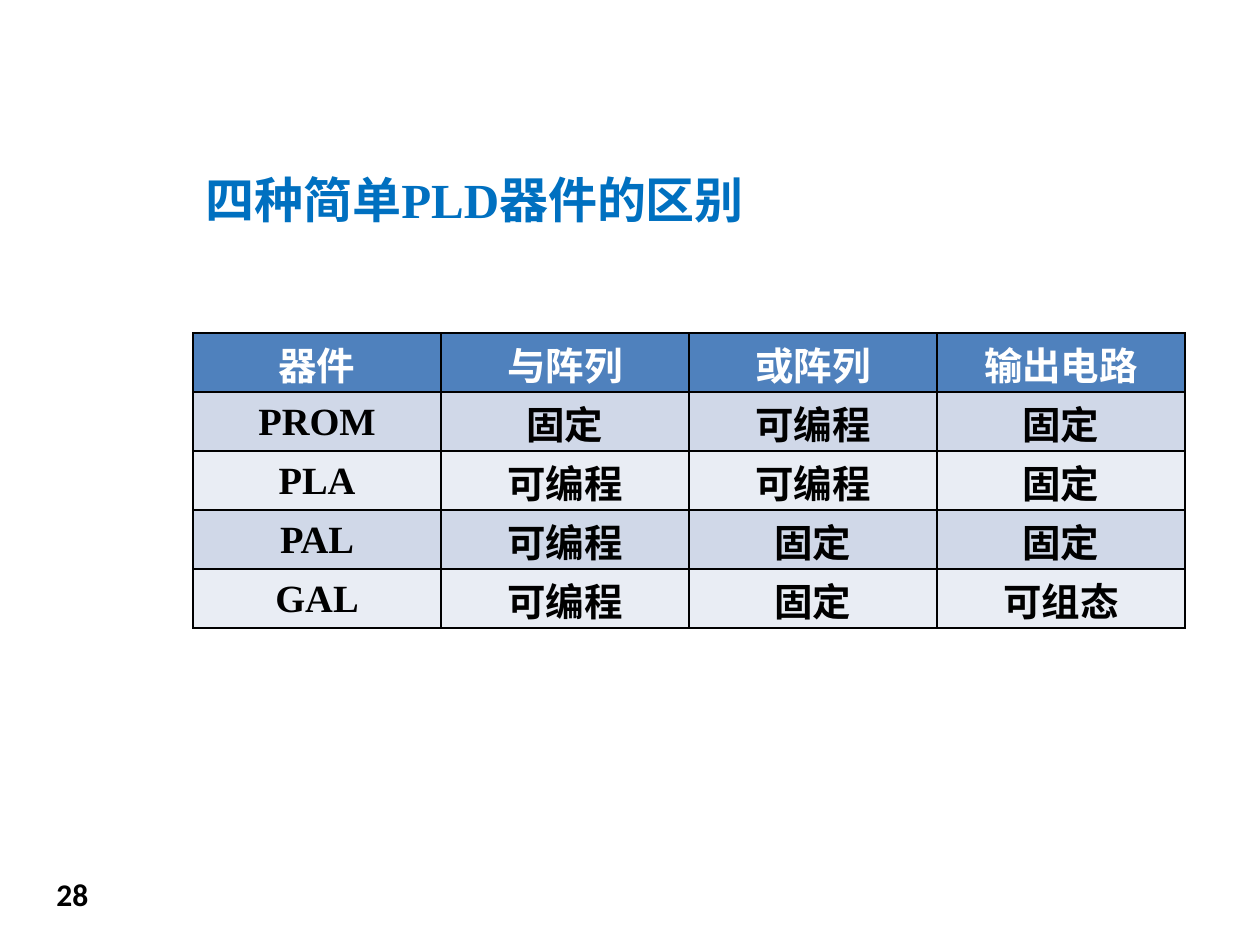
"""Build a slide comparing four simple PLD devices in a table."""

from dataclasses import dataclass

import lxml.etree
import pptx
import pptx.dml.color
import pptx.enum.text
import pptx.oxml.ns
import pptx.util


@dataclass(frozen=True)
class Theme:
    title_color: str = "0070C0"
    header_fill: str = "4F81BD"
    header_text: str = "FFFFFF"
    band_fills: tuple[str, str] = ("D0D8E8", "E9EDF4")
    text: str = "000000"
    border: str = "000000"
    serif: str = "Times New Roman"
    sans: str = "Calibri"
    title_size: int = 28
    table_size: int = 22
    number_size: int = 18


@dataclass(frozen=True)
class Box:
    left: int
    top: int
    width: int
    height: int


@dataclass(frozen=True)
class Device:
    name: str
    and_array: str
    or_array: str
    output: str


THEME = Theme()
PIXELS_PER_INCH = 126
SLIDE = Box(0, 0, 1260, 945)
TITLE = Box(193, 163, 605, 72)
TABLE = Box(193, 333, 992, 295)
NUMBER = Box(44, 869, 80, 57)
HEADER = Device("器件", "与阵列", "或阵列", "输出电路")
DEVICES = [
    Device("PROM", "固定", "可编程", "固定"),
    Device("PLA", "可编程", "可编程", "固定"),
    Device("PAL", "可编程", "固定", "固定"),
    Device("GAL", "可编程", "固定", "可组态"),
]


def px(length: int) -> pptx.util.Emu:
    """Convert pixels to EMU."""
    return pptx.util.Emu(round(length * 914400 / PIXELS_PER_INCH))


def place(box: Box) -> tuple[pptx.util.Emu, ...]:
    """Return the four lengths of a box in EMU."""
    return px(box.left), px(box.top), px(box.width), px(box.height)


def rgb(color: str) -> pptx.dml.color.RGBColor:
    """Convert a hexadecimal colour."""
    return pptx.dml.color.RGBColor.from_string(color)


def write(text_frame, text: str, font_name: str, size: int, color: str, alignment) -> None:
    """Write one bold paragraph."""
    text_frame.text = text
    paragraph = text_frame.paragraphs[0]
    paragraph.alignment = alignment
    font = paragraph.font
    font.name = font_name
    font.size = pptx.util.Pt(size)
    font.bold = True
    font.color.rgb = rgb(color)


def add_borders(cell) -> None:
    """Outline a cell with one-point lines."""
    properties = cell._tc.get_or_add_tcPr()
    qn = pptx.oxml.ns.qn
    for index, side in enumerate(("lnL", "lnR", "lnT", "lnB")):
        line = lxml.etree.Element(qn(f"a:{side}"), w=str(pptx.util.Pt(1)))
        fill = lxml.etree.SubElement(line, qn("a:solidFill"))
        lxml.etree.SubElement(fill, qn("a:srgbClr"), val=THEME.border)
        properties.insert(index, line)


def fill_cell(cell, text: str, fill: str, color: str) -> None:
    """Write and colour one table cell."""
    cell.margin_top = px(3)
    cell.margin_bottom = 0
    cell.vertical_anchor = pptx.enum.text.MSO_ANCHOR.MIDDLE
    cell.fill.solid()
    cell.fill.fore_color.rgb = rgb(fill)
    write(cell.text_frame, text, THEME.serif, THEME.table_size, color,
          pptx.enum.text.PP_ALIGN.CENTER)
    add_borders(cell)


def add_title(slide) -> None:
    """Move and format the title placeholder."""
    title = slide.shapes.title
    title.left, title.top, title.width, title.height = place(TITLE)
    text_frame = title.text_frame
    text_frame.auto_size = pptx.enum.text.MSO_AUTO_SIZE.NONE
    text_frame.word_wrap = True
    text_frame.vertical_anchor = pptx.enum.text.MSO_ANCHOR.MIDDLE
    text_frame.margin_top = text_frame.margin_bottom = 0
    write(text_frame, "四种简单PLD器件的区别", THEME.serif, THEME.title_size,
          THEME.title_color, pptx.enum.text.PP_ALIGN.LEFT)


def add_device_table(slide) -> None:
    """Draw the device comparison table."""
    records = [HEADER, *DEVICES]
    table = slide.shapes.add_table(len(records), 4, *place(TABLE)).table
    for row in table.rows:
        row.height = px(TABLE.height // len(records))
    for row_index, device in enumerate(records):
        if row_index == 0:
            fill, color = THEME.header_fill, THEME.header_text
        else:
            fill, color = THEME.band_fills[(row_index - 1) % 2], THEME.text
        values = (device.name, device.and_array, device.or_array, device.output)
        for column_index, value in enumerate(values):
            fill_cell(table.cell(row_index, column_index), value, fill, color)


def add_slide_number(slide) -> None:
    """Write the slide number."""
    shape = slide.shapes.add_textbox(*place(NUMBER))
    shape.text_frame.word_wrap = True
    write(shape.text_frame, "28", THEME.sans, THEME.number_size, THEME.text,
          pptx.enum.text.PP_ALIGN.LEFT)


def main() -> None:
    """Build and save the presentation."""
    presentation = pptx.Presentation()
    presentation.slide_width = px(SLIDE.width)
    presentation.slide_height = px(SLIDE.height)
    slide = presentation.slides.add_slide(presentation.slide_layouts[5])
    add_title(slide)
    add_device_table(slide)
    add_slide_number(slide)
    presentation.save("out.pptx")


if __name__ == "__main__":
    main()
